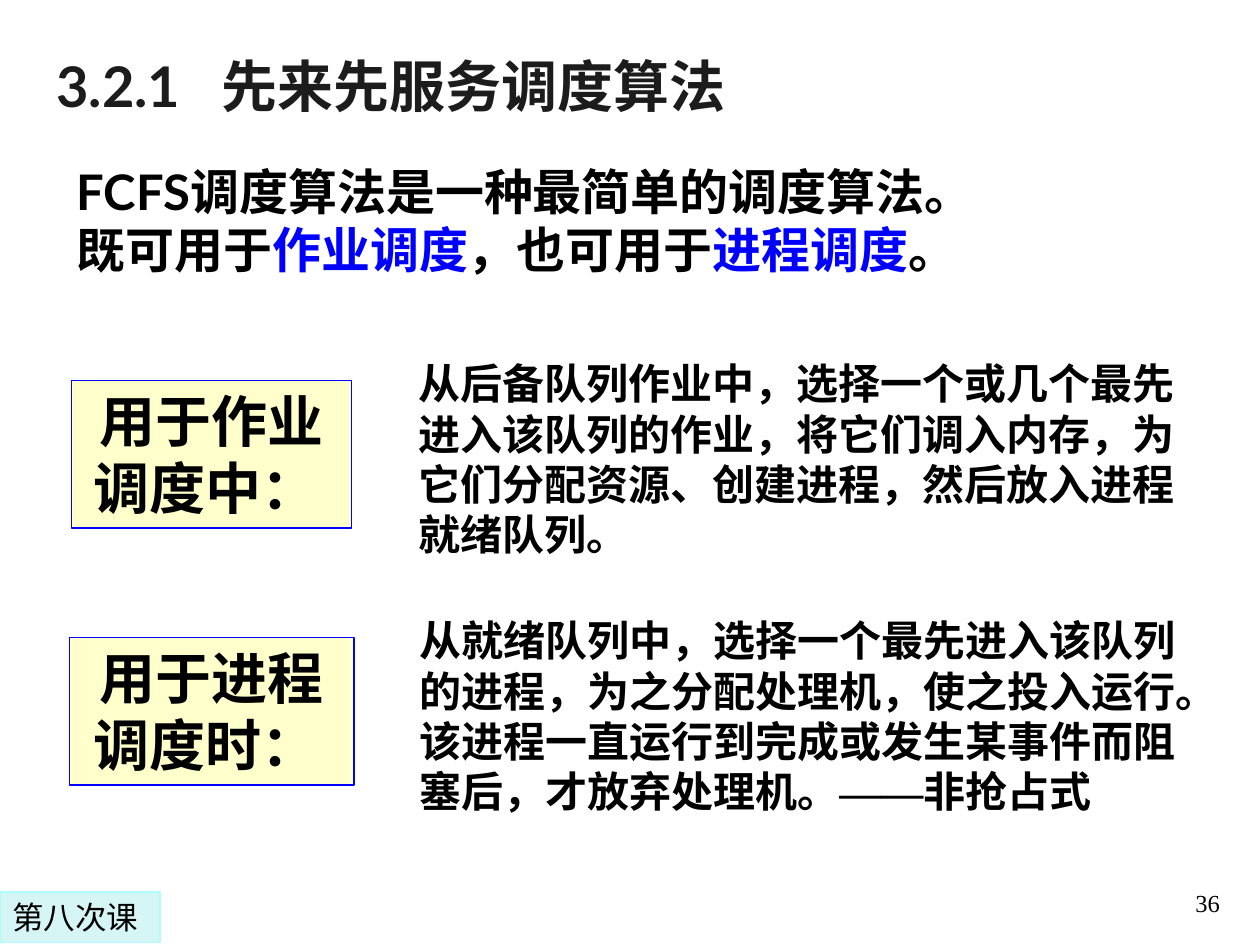
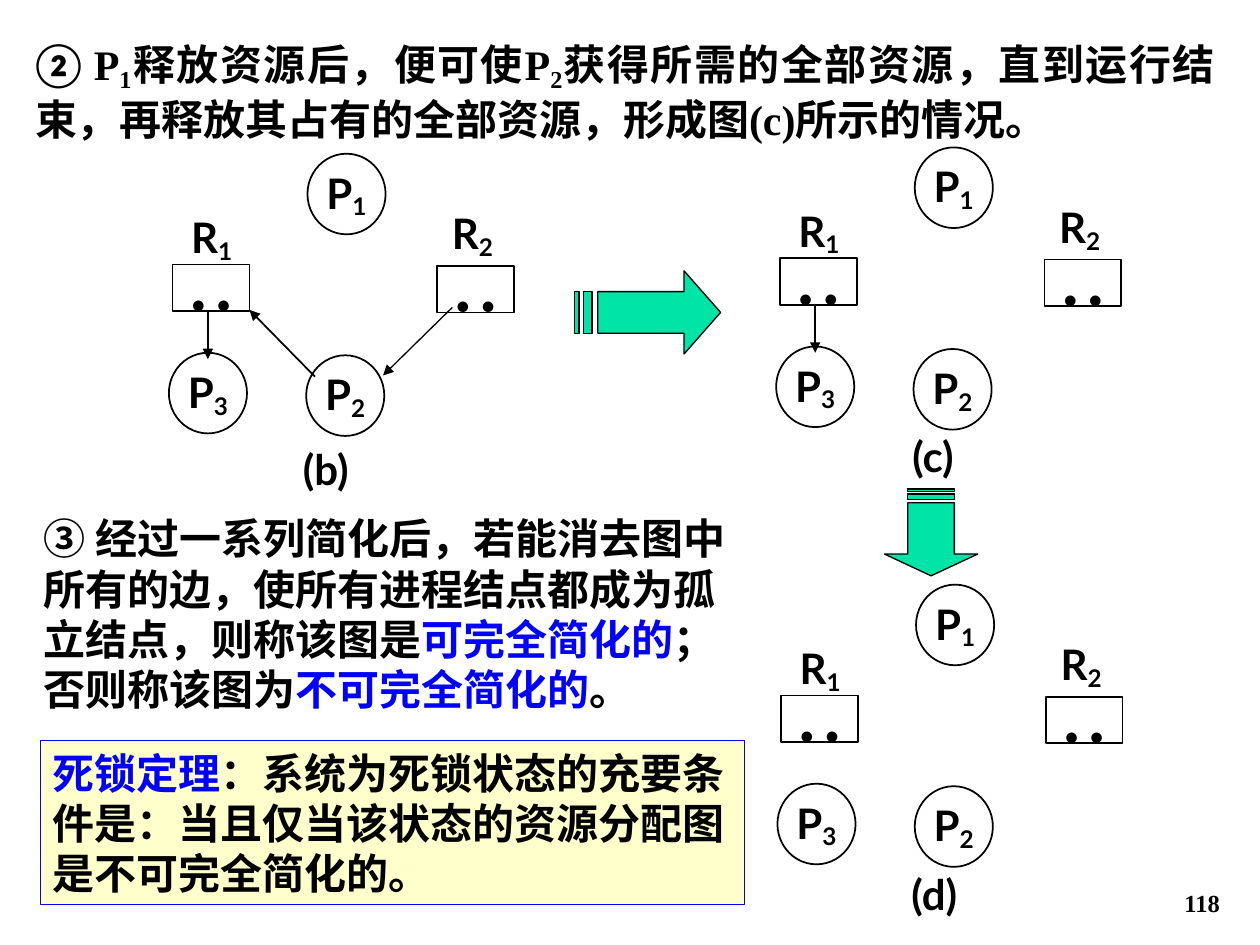
from lxml.etree import SubElement
from pptx import Presentation
from pptx.dml.color import RGBColor
from pptx.enum.shapes import MSO_CONNECTOR, MSO_SHAPE
from pptx.enum.text import MSO_ANCHOR, PP_ALIGN
from pptx.oxml.ns import qn
from pptx.util import Inches, Pt

BLACK = RGBColor(0x00, 0x00, 0x00)
TITLE = RGBColor(0x1C, 0x1C, 0x1C)
BLUE = RGBColor(0x00, 0x00, 0xFF)
CREAM = RGBColor(0xFF, 0xFF, 0xCC)
GREEN = RGBColor(0x00, 0xE4, 0xA8)
PALE_CYAN = RGBColor(0xD6, 0xF5, 0xF5)
CYAN = RGBColor(0xAD, 0xFF, 0xFF)

LATO, CJK, TIMES, DEJAVU = "Lato", "Noto Sans CJK SC", "Times New Roman", "DejaVu Sans"


def blue(text):
    return text, {"color": BLUE}


def sub(text, percent=18):
    return text, {"baseline": -percent * 1000}


class Deck:
    """Holds the presentation, its style and the current slide."""

    def __init__(self):
        self.prs = Presentation()
        self.prs.slide_width, self.prs.slide_height = Inches(10), Inches(7.5)

    def new_slide(self, number, bold=False):
        self.s = self.prs.slides.add_slide(self.prs.slide_layouts[6])
        self.text((7.7, 6.83, 2.08, 0.5), [[number]], 14, TIMES, bold=bold,
                  align=PP_ALIGN.RIGHT, anchor=MSO_ANCHOR.BOTTOM)

    def set_font(self, font, name, east_asian=CJK):
        font.name = name
        SubElement(font._element, qn("a:ea")).set("typeface", east_asian)

    def set_text(self, sp, paragraphs, size, name, color=BLACK, bold=True,
                 align=PP_ALIGN.LEFT, anchor=MSO_ANCHOR.TOP, wrap=True,
                 margins=(0.1, 0.05), tab=None):
        tf = sp.text_frame
        tf.word_wrap, tf.vertical_anchor = wrap, anchor
        tf.margin_left = tf.margin_right = Inches(margins[0])
        tf.margin_top = tf.margin_bottom = Inches(margins[1])
        for i, runs in enumerate(paragraphs):
            p = tf.add_paragraph() if i else tf.paragraphs[0]
            p.alignment = align
            if tab:
                tabs = SubElement(p._p.get_or_add_pPr(), qn("a:tabLst"))
                SubElement(tabs, qn("a:tab"), pos=str(Inches(tab)), algn="l")
            p.font.size, p.font.bold = Pt(size), bold
            p.font.color.rgb = color
            self.set_font(p.font, name)
            for run in runs:
                text, style = (run, {}) if isinstance(run, str) else run
                r = p.add_run()
                r.text = text
                if "color" in style:
                    r.font.color.rgb = style["color"]
                if "name" in style:
                    self.set_font(r.font, style["name"], style.get("east_asian", CJK))
                for key in ("baseline", "spc"):
                    if key in style:
                        r.font._element.set(key, str(style[key]))

    def text(self, box, paragraphs, size, name=CJK, **style):
        sp = self.s.shapes.add_textbox(*map(Inches, box))
        self.set_text(sp, paragraphs, size, name, **style)

    def paint(self, sp, fill, line, width):
        sp.shadow.inherit = False
        if fill is None:
            sp.fill.background()
        else:
            sp.fill.solid()
            sp.fill.fore_color.rgb = fill
        sp.line.color.rgb, sp.line.width = line, Pt(width)

    def shape(self, kind, box, paragraphs, size, name=CJK, fill=None,
              line=BLACK, width=1, **style):
        sp = self.s.shapes.add_shape(kind, *map(Inches, box))
        self.paint(sp, fill, line, width)
        self.set_text(sp, paragraphs, size, name, **style)

    def callout(self, box, runs, size, **style):
        self.shape(MSO_SHAPE.RECTANGLE, box, [runs], size, fill=CREAM,
                   line=BLUE, width=0.75, **style)

    def arrow(self, start, end, width=1):
        c = self.s.shapes.add_connector(MSO_CONNECTOR.STRAIGHT,
                                        *map(Inches, (*start, *end)))
        c.line.color.rgb, c.line.width = BLACK, Pt(width)
        SubElement(c.line._get_or_add_ln(), qn("a:tailEnd"), type="triangle")
        SubElement(c._element.spPr, qn("a:effectLst"))

    def striped_arrow(self, left, top, length, breadth, down=False):
        # Outlines as fractions along and across the arrow
        def bar(a, b):
            return [(a, 0.25), (b, 0.25), (b, 0.75), (a, 0.75)]

        head = [(0.75, 0), (0.75, 0.25), (0.16, 0.25), (0.16, 0.75),
                (0.75, 0.75), (0.75, 1), (1, 0.5)]

        def place(point):
            along, across = point[0] * length, point[1] * breadth
            x, y = (across, along) if down else (along, across)
            return Inches(left + x), Inches(top + y)

        first, *others = [[place(pt) for pt in outline]
                          for outline in (head, bar(0.06, 0.12), bar(0, 0.03))]
        fb = self.s.shapes.build_freeform(*first[0])
        fb.add_line_segments(first[1:], close=True)
        for outline in others:
            fb.move_to(*outline[0])
            fb.add_line_segments(outline[1:], close=True)
        self.paint(fb.convert_to_shape(), GREEN, BLACK, 0.75)

    def allocation_graph(self, dx, dy, caption, caption_dy, edges):
        centred = {"align": PP_ALIGN.CENTER}
        # Process nodes
        for number, x, y in (("1", 2.44, 1.22), ("2", 2.43, 2.82), ("3", 1.34, 2.8)):
            self.shape(MSO_SHAPE.OVAL, (x + dx, y + dy, 0.62, 0.64),
                       [["P", sub(number, 16)]], 24, LATO, wrap=False,
                       anchor=MSO_ANCHOR.MIDDLE, margins=(0.06, 0.01), **centred)
        # Resources, each with two units
        units = ("• •", {"baseline": -16000, "spc": 150})
        for number, x, y, label_x, label_y in (("1", 1.37, 2.1, 1.24, 1.63),
                                               ("2", 3.47, 2.11, 3.31, 1.6)):
            self.shape(MSO_SHAPE.RECTANGLE, (x + dx, y + dy, 0.61, 0.37), [[units]],
                       24, LATO, wrap=False, margins=(0.06, 0), **centred)
            self.text((label_x + dx, label_y + dy, 0.88, 0.53),
                      [["R", sub(number, 16)]], 24, LATO, **centred)
        # Edges and caption
        for (x1, y1), (x2, y2), width in edges:
            self.arrow((x1 + dx, y1 + dy), (x2 + dx, y2 + dy), width)
        self.text((2.06 + dx, 3.47 + caption_dy, 1.05, 0.5), [[caption]], 24, LATO, **centred)


def fcfs_slide(deck):
    deck.new_slide("36")
    deck.text((0.35, 0.23, 9.43, 0.76), [["3.2.1\t先来先服务调度算法"]], 32, LATO,
              color=TITLE, anchor=MSO_ANCHOR.BOTTOM, tab=1.31)
    deck.text((0.51, 1.23, 9.23, 1.04), [
        [("FCFS", {"name": LATO}), "调度算法是一种最简单的调度算法。"],
        ["既可用于", blue("作业调度"), "，也可用于", blue("进程调度"), "。"],
    ], 28)

    # The two uses and their explanations
    deck.callout((0.57, 3.02, 2.22, 1.17), ["用于作业调度中： "], 32, align=PP_ALIGN.CENTER)
    deck.text((3.22, 2.79, 6.33, 1.7), [[
        "从后备队列作业中，选择一个或几个最先进入该队列的作业，将它们调入内存，"
        "为它们分配资源、创建进程，然后放入进程就绪队列。"]], 24)
    deck.callout((0.55, 5.06, 2.26, 1.17), ["用于进程调度时： "], 32, align=PP_ALIGN.CENTER)
    deck.text((3.23, 4.83, 6.45, 1.7), [[
        "从就绪队列中，选择一个最先进入该队列的进程，为之分配处理机，使之投入运行。"
        "该进程一直运行到完成或发生某事件而阻塞后，才放弃处理机。",
        ("——", {"name": TIMES, "east_asian": TIMES}), "非抢占式"]], 24)

    # Lesson tag
    deck.shape(MSO_SHAPE.RECTANGLE, (0, 7.08, 1.27, 0.4), [["第八次课"]], 18, DEJAVU,
               fill=PALE_CYAN, line=CYAN, width=0.75, bold=False)


def deadlock_slide(deck):
    deck.new_slide("118", bold=True)
    deck.text((0.18, 0.26, 9.56, 0.93), [[
        ("② ", {"name": LATO}), "P", sub("1"), "释放资源后，便可使P", sub("2"),
        "获得所需的全部资源，直到运行结束，再释放其占有的全部资源，形成图(c)所示的情况。"]],
        24, TIMES, align=PP_ALIGN.JUSTIFY)

    # Steps between the graphs
    deck.striped_arrow(4.56, 2.15, 1.16, 0.66)
    deck.striped_arrow(7.02, 3.88, 0.69, 0.74, down=True)

    # Conclusion and theorem
    deck.text((0.25, 4.02, 5.69, 1.7), [[
        ("③ ", {"name": LATO}),
        "经过一系列简化后，若能消去图中所有的边，使所有进程结点都成为孤立结点，则称该图是",
        blue("可完全简化的"), "；否则称该图为", blue("不可完全简化的"), "。"]], 24)
    deck.callout((0.32, 5.88, 5.59, 1.3), [
        blue("死锁定理"),
        "：系统为死锁状态的充要条件是：当且仅当该状态的资源分配图是不可完全简化的。"],
        24, name=LATO)

    # Resource allocation graphs, reduced edge by edge
    r1_to_p3 = ((1.65, 2.48), (1.65, 2.85), 1)
    p2_to_r1 = ((2.5, 2.99), (1.98, 2.46), 1)
    r2_to_p2 = ((3.59, 2.44), (3.04, 2.98), 0.75)
    deck.allocation_graph(0, 0, "(b)", 0, [r1_to_p3, p2_to_r1, r2_to_p2])
    deck.allocation_graph(4.82, -0.05, "(c)", -0.1, [r1_to_p3])
    deck.allocation_graph(4.83, 3.42, "(d)", 3.37, [])


def main():
    deck = Deck()
    fcfs_slide(deck)
    deadlock_slide(deck)
    deck.prs.save("out.pptx")


if __name__ == "__main__":
    main()
